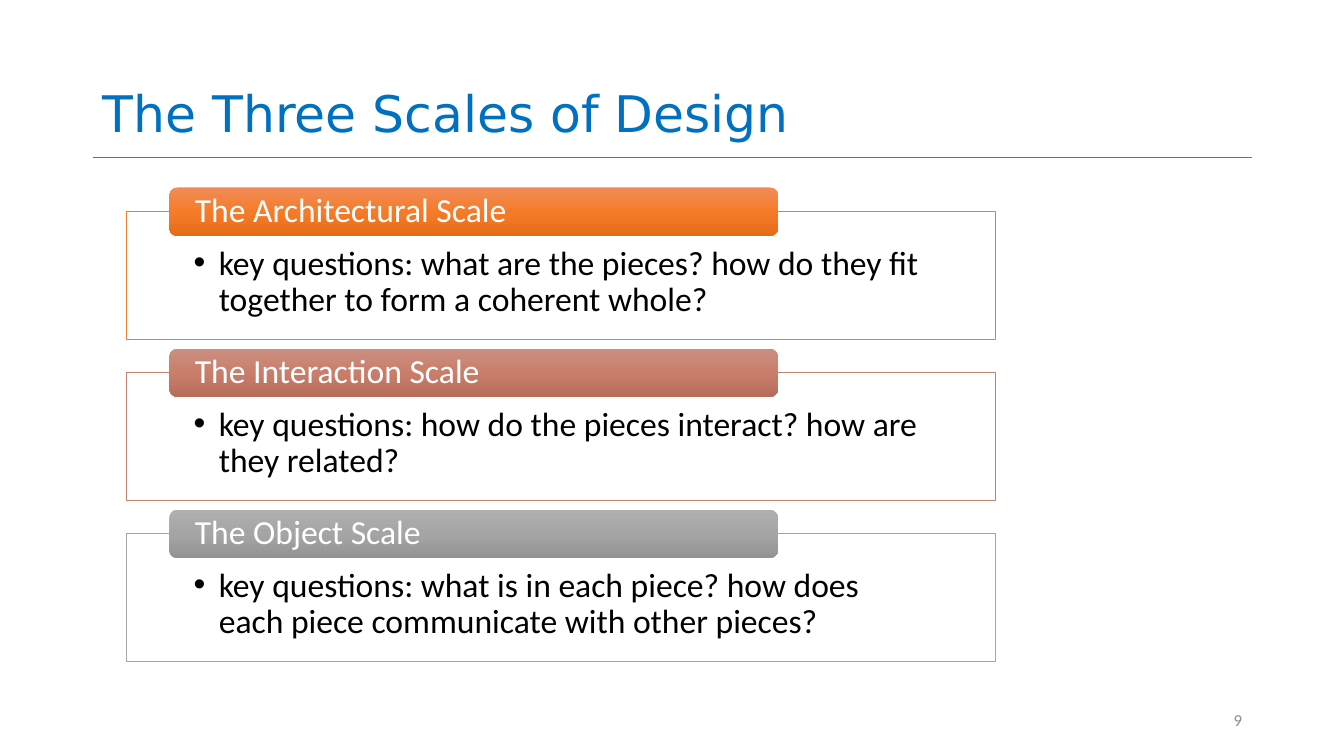
from copy import deepcopy
from dataclasses import dataclass

from pptx import Presentation
from pptx.dml.color import RGBColor
from pptx.enum.shapes import MSO_CONNECTOR as Connector, MSO_SHAPE as Shape
from pptx.enum.text import MSO_ANCHOR as Anchor, MSO_AUTO_SIZE as AutoSize, PP_ALIGN as Align
from pptx.oxml.ns import qn
from pptx.util import Inches, Pt
from lxml import etree

WIDTH, HEIGHT = Inches(13.33), Inches(7.5)
TITLE_ONLY = 5


@dataclass(frozen=True)
class Theme:
    title_font: str = "DejaVu Sans"
    body_font: str = "Calibri"
    title_size: int = 36
    body_size: int = 24
    number_size: int = 12
    title: str = "0070C0"
    rule: str = "4472C4"
    body: str = "000000"
    paper: str = "FFFFFF"
    number: str = "8C8C8C"
    thin: float = 0.5


THEME = Theme()

# Positions are percentages of the slide's width and height.
MARGIN_LEFT, CONTENT_WIDTH = 6.9, 86.27
RULE_TOP = 20.8
CARD_LEFT, CARD_TOP, CARD_WIDTH, CARD_HEIGHT = 9.38, 28, 64.67, 16.93
TAG_LEFT, TAG_RISE, TAG_WIDTH, TAG_HEIGHT = 12.6, 3.2, 45.3, 6.4
CARD_PITCH = 21.3

# Heading, question, outline colour, gradient of the heading tag.
SCALES = [
    ("The Architectural Scale",
     "key questions: what are the pieces? how do they fit together to form a coherent whole?",
     "ED7D31", ("F18C57", "F67B28", "E56C19")),
    ("The Interaction Scale",
     "key questions: how do the pieces interact? how are they related?",
     "C48170", ("CB8F81", "C97E6B", "B76D5B")),
    ("The Object Scale",
     "key questions: what is in each piece? how does each piece communicate with other pieces?",
     "A5A5A5", ("AFAFAF", "A5A5A5", "939393")),
]


def color(value):
    return RGBColor.from_string(value)


def across(share):
    return round(WIDTH * share / 100)


def down(share):
    return round(HEIGHT * share / 100)


def area(left, top, width, height):
    return across(left), down(top), across(width), down(height)


def write(box, text, font, size, ink, anchor, align=Align.LEFT, margins=None, bullet=False):
    """Fill a box with one paragraph; margins are left/right, top and bottom in inches."""
    frame = box.text_frame
    frame.word_wrap = True
    frame.auto_size = AutoSize.NONE
    frame.vertical_anchor = anchor
    if margins:
        side, top, bottom = margins
        frame.margin_left = frame.margin_right = Inches(side)
        frame.margin_top, frame.margin_bottom = Inches(top), Inches(bottom)
    para = frame.paragraphs[0]
    if bullet:
        add_bullet(para)
    para.alignment = align
    para.line_spacing = 0.9
    span = para.add_run()
    span.text = text
    span.font.name = font
    span.font.size = Pt(size)
    span.font.color.rgb = color(ink)


def add_bullet(para):
    properties = para._p.get_or_add_pPr()
    indent = Inches(0.25)
    properties.set("marL", str(indent))
    properties.set("indent", str(-indent))
    etree.SubElement(properties, qn("a:buFont")).set("typeface", "Arial")
    etree.SubElement(properties, qn("a:buChar")).set("char", "•")


def fill_gradient(shape, colors):
    """Run three colours from the top to the bottom of the shape."""
    fill = shape.fill
    fill.gradient()
    fill.gradient_angle = 270
    stop_list = shape._element.spPr.find(qn("a:gradFill")).find(qn("a:gsLst"))
    stop_list.insert(1, deepcopy(stop_list[0]))
    for stop, position, value in zip(fill.gradient_stops, (0, 0.5, 1), colors):
        stop.position = position
        stop.color.rgb = color(value)


def add_title(page, text):
    title = page.shapes.title
    title.left, title.top, title.width, title.height = area(
        MARGIN_LEFT, 0.27, CONTENT_WIDTH, 19.33)
    write(title, text, THEME.title_font, THEME.title_size, THEME.title, Anchor.BOTTOM)


def add_rule(page):
    rule = page.shapes.add_connector(
        Connector.STRAIGHT, across(MARGIN_LEFT), down(RULE_TOP),
        across(MARGIN_LEFT + CONTENT_WIDTH), down(RULE_TOP))
    rule.line.color.rgb = color(THEME.rule)
    rule.line.width = Pt(THEME.thin)
    etree.SubElement(rule._element.spPr, qn("a:effectLst"))


def add_scale(page, index, heading, question, outline, gradient):
    top = CARD_TOP + index * CARD_PITCH
    card = page.shapes.add_shape(
        Shape.RECTANGLE, *area(CARD_LEFT, top, CARD_WIDTH, CARD_HEIGHT))
    card.shadow.inherit = False
    card.fill.solid()
    card.fill.fore_color.rgb = color(THEME.paper)
    card.line.color.rgb = color(outline)
    card.line.width = Pt(THEME.thin)
    write(card, question, THEME.body_font, THEME.body_size, THEME.body,
          Anchor.TOP, margins=(0.67, 0.34, 0.19), bullet=True)

    tag = page.shapes.add_shape(
        Shape.ROUNDED_RECTANGLE, *area(TAG_LEFT, top - TAG_RISE, TAG_WIDTH, TAG_HEIGHT))
    tag.shadow.inherit = False
    tag.line.fill.background()
    fill_gradient(tag, gradient)
    write(tag, heading, THEME.body_font, THEME.body_size, THEME.paper,
          Anchor.MIDDLE, margins=(0.23, 0, 0))


def add_page_number(page, number):
    box = page.shapes.add_textbox(*area(70.67, 92.67, 22.5, 5.33))
    write(box, number, THEME.body_font, THEME.number_size, THEME.number,
          Anchor.MIDDLE, Align.RIGHT)


def main():
    deck = Presentation()
    deck.slide_width, deck.slide_height = WIDTH, HEIGHT
    page = deck.slides.add_slide(deck.slide_layouts[TITLE_ONLY])
    add_title(page, "The Three Scales of Design")
    add_rule(page)
    for index, scale in enumerate(SCALES):
        add_scale(page, index, *scale)
    add_page_number(page, "9")
    deck.save("out.pptx")


if __name__ == "__main__":
    main()
